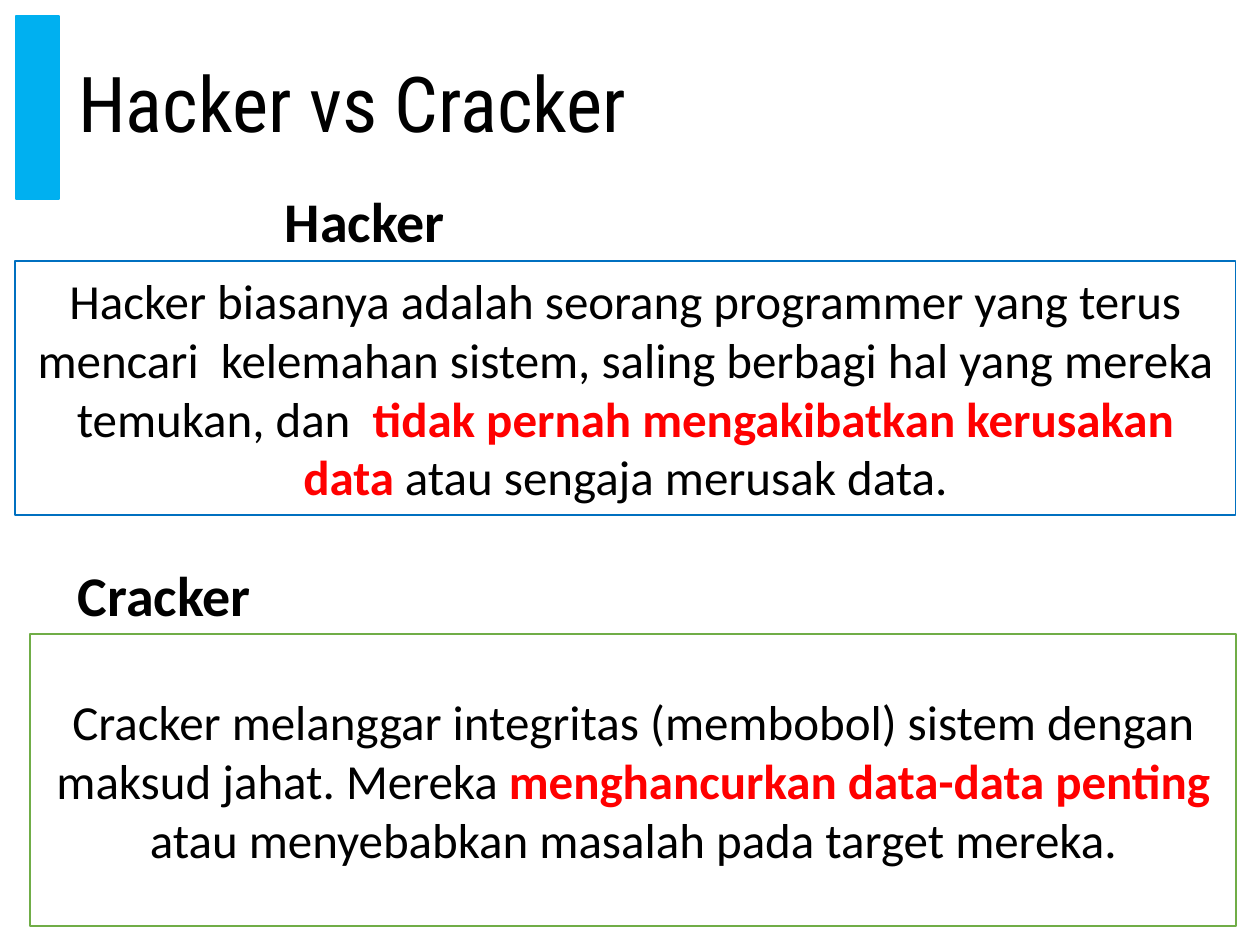
"""Build a slide that contrasts hackers with crackers."""
import pptx
import pptx.dml.color
import pptx.enum.shapes
import pptx.enum.text
import pptx.util

Cm = pptx.util.Cm
Pt = pptx.util.Pt
RGB = pptx.dml.color.RGBColor.from_string
ALIGN = pptx.enum.text.PP_ALIGN
MIDDLE = pptx.enum.text.MSO_ANCHOR.MIDDLE
FIT = pptx.enum.text.MSO_AUTO_SIZE
COLORS = {
    "text": "000000",
    "key": "FF0000",
    "page": "FFFFFF",
    "bar": "00B0F0",
    "blue": "0070C0",
    "green": "70AD47",
}


def add_box(slide, place, fill, line):
    box = slide.shapes.add_shape(
        pptx.enum.shapes.MSO_SHAPE.RECTANGLE, *[Cm(n) for n in place]
    )
    box.shadow.inherit = False
    box.fill.solid()
    box.fill.fore_color.rgb = RGB(COLORS[fill])
    box.line.color.rgb = RGB(COLORS[line])
    box.line.width = Pt(1)
    return box


def set_font(font, name, size):
    font.name = name
    font.size = Pt(size)
    font.color.rgb = RGB(COLORS["text"])


deck = pptx.Presentation()
deck.slide_width = Cm(25.4)
deck.slide_height = Cm(19.05)
slide = deck.slides.add_slide(deck.slide_layouts[5])

add_box(slide, (0.33, 0.33, 0.86, 3.68), "bar", "bar")

title = slide.shapes.title
title.left, title.top = Cm(1.32), Cm(0.33)
title.width, title.height = Cm(23.11), Cm(3.68)
frame = title.text_frame
frame.text = "Hacker vs Cracker"
frame.auto_size = FIT.NONE
frame.vertical_anchor = MIDDLE
para = frame.paragraphs[0]
para.alignment = ALIGN.LEFT
para.line_spacing = 0.9
set_font(para.font, "Roboto Condensed", 44)

parts = [
    ("Hacker", (5.49, 3.63, 4.83, 1.63), True,
     (0.3, 5.26, 24.61, 5.13), "blue",
     ("Hacker biasanya adalah seorang programmer yang terus mencari  kelemahan "
      "sistem, saling berbagi hal yang mereka temukan, dan  ",
      "tidak pernah mengakibatkan kerusakan data ",
      "atau sengaja merusak data.")),
    ("Cracker", (1.32, 11.18, 4.04, 1.63), False,
     (0.61, 12.78, 24.31, 5.89), "green",
     ("Cracker melanggar integritas (membobol) sistem dengan maksud jahat. Mereka ",
      "menghancurkan data-data penting ",
      "atau menyebabkan masalah pada target mereka.")),
]

for head, spot, wrap, place, line, texts in parts:
    box = add_box(slide, place, "page", line)
    box.text_frame.word_wrap = True
    box.text_frame.vertical_anchor = MIDDLE
    para = box.text_frame.paragraphs[0]
    para.alignment = ALIGN.CENTER
    for text, tone in zip(texts, ("text", "key", "text")):
        run = para.add_run()
        run.text = text
        set_font(run.font, "Calibri", 28)
        run.font.color.rgb = RGB(COLORS[tone])
        run.font.bold = tone == "key"

    label = slide.shapes.add_textbox(*[Cm(n) for n in spot])
    frame = label.text_frame
    frame.text = head
    frame.word_wrap = wrap
    frame.auto_size = FIT.SHAPE_TO_FIT_TEXT
    set_font(frame.paragraphs[0].font, "Calibri", 32)
    frame.paragraphs[0].font.bold = True

deck.save("out.pptx")
